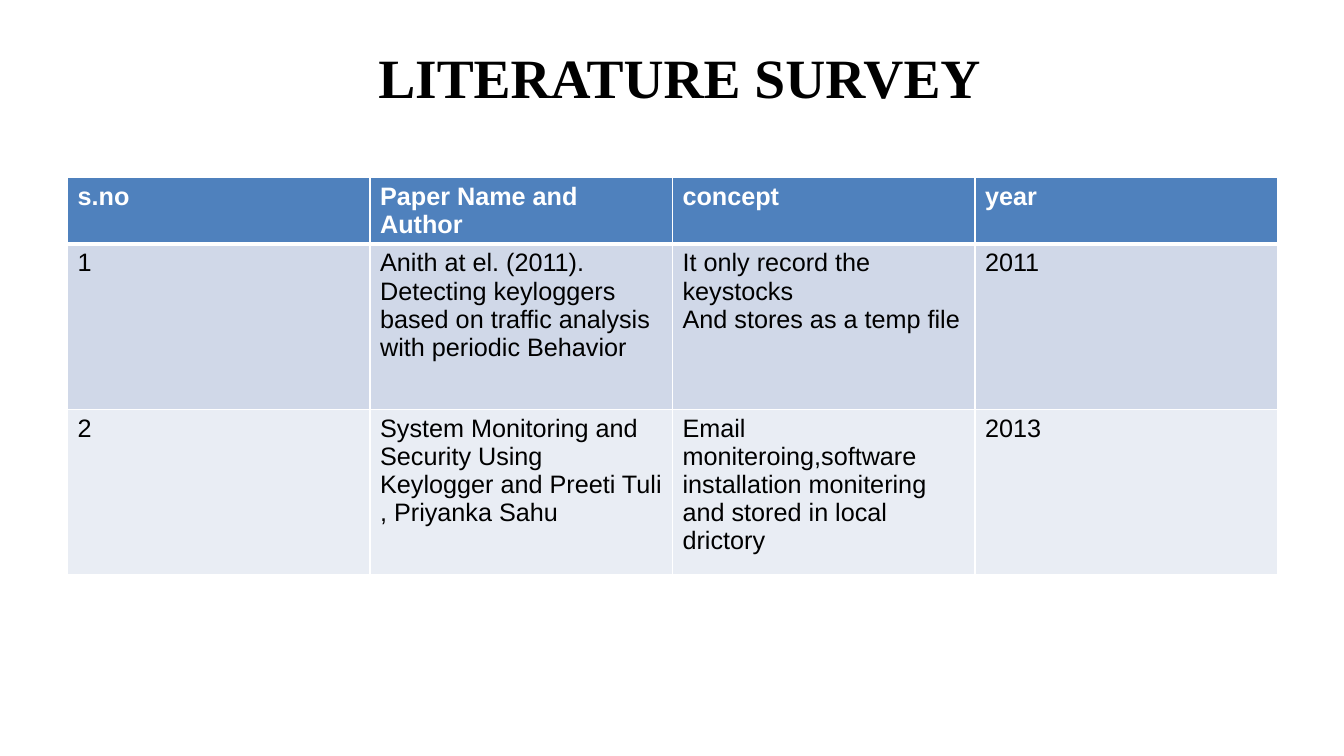
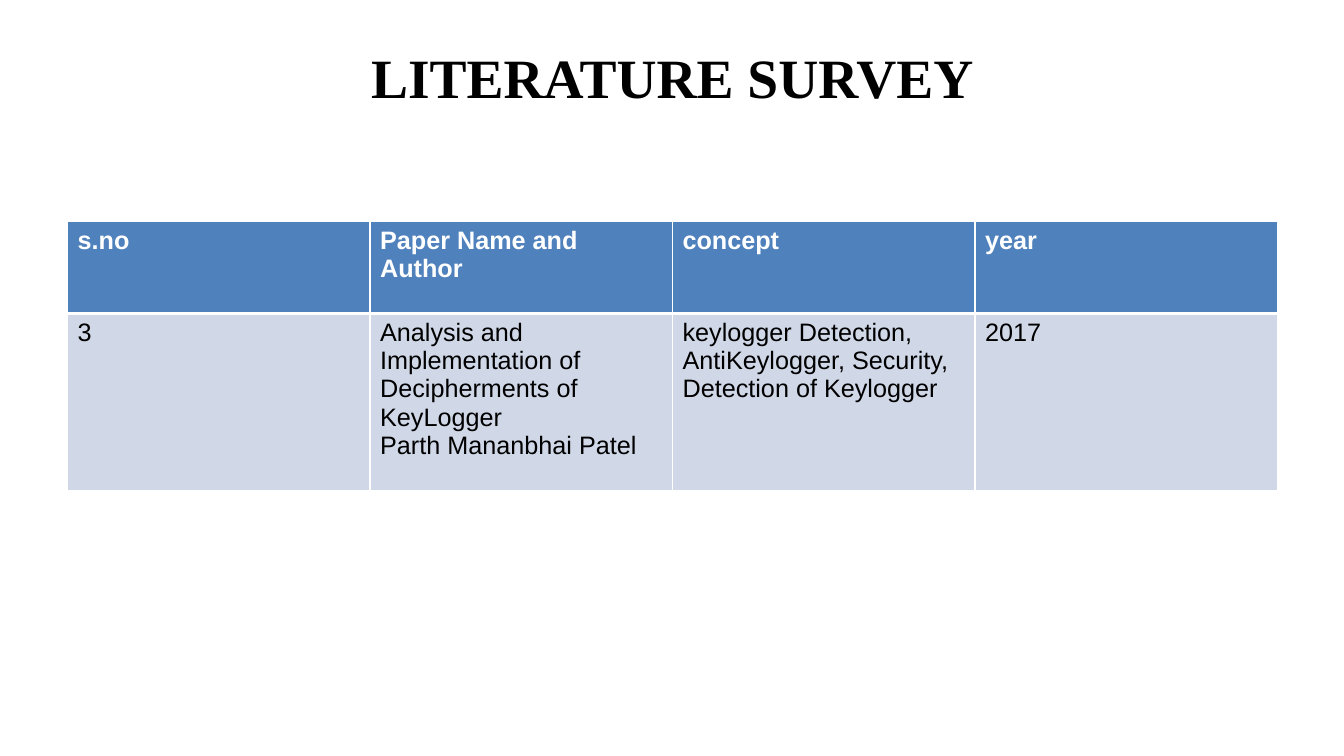
from dataclasses import dataclass

from lxml.etree import SubElement
from pptx import Presentation
from pptx.dml.color import RGBColor as Color
from pptx.enum.text import MSO_ANCHOR as Anchor, MSO_AUTO_SIZE as AutoSize, PP_ALIGN as Align
from pptx.oxml.ns import qn
from pptx.util import Pt

PX = 9144  # EMU per px, 100 px to the inch


@dataclass(frozen=True)
class Theme:
    black: str = "000000"
    white: str = "FFFFFF"
    header: str = "4F81BD"
    bands: tuple = ("D0D8E8", "E9EDF4")
    title_font: str = "Times New Roman"
    body_font: str = "Arial"
    title_size: float = 39.6
    body_size: float = 18
    thin: int = 1
    thick: int = 3


theme = Theme()


def style_text(frame, font, size, color, bold):
    for para in frame.paragraphs:
        for span in para.runs:
            span.font.name = font
            span.font.size = Pt(size)
            span.font.bold = bold
            span.font.color.rgb = Color.from_string(color)


def set_borders(cell, top, bottom):
    """Draw white cell edges; widths in points. Call before filling the cell."""
    properties = cell._tc.get_or_add_tcPr()
    widths = {"lnL": theme.thin, "lnR": theme.thin, "lnT": top, "lnB": bottom}
    for edge, width in widths.items():
        line = SubElement(properties, qn(f"a:{edge}"), w=str(Pt(width)))
        fill = SubElement(line, qn("a:solidFill"))
        SubElement(fill, qn("a:srgbClr"), val=theme.white)


LEFT, WIDTH = 67, 1200
TITLE_TOP, TITLE_HEIGHT, TITLE_INSET = 30, 125, 13
HEADINGS = ["s.no", "Paper Name and Author", "concept", "year"]

surveys = [
    {
        "title_indent": 14,
        "top": 176,
        "heights": [65, 164, 164],
        "papers": [
            ["1",
             "Anith at el. (2011). Detecting keyloggers based on traffic analysis "
             "with periodic Behavior",
             "It only record the keystocks\nAnd stores as a temp file",
             "2011"],
            ["2",
             "System Monitoring and Security Using Keylogger and Preeti Tuli "
             ", Priyanka Sahu",
             "Email moniteroing,software installation monitering and stored in "
             "local drictory",
             "2013"],
        ],
    },
    {
        "title_indent": 0,
        "top": 220,
        "heights": [91, 176],
        "papers": [
            ["3",
             "Analysis and Implementation of Decipherments of KeyLogger\n"
             "Parth Mananbhai Patel",
             "keylogger Detection, AntiKeylogger, Security, Detection of Keylogger",
             "2017"],
        ],
    },
]

deck = Presentation()
deck.slide_width, deck.slide_height = 1333 * PX, 750 * PX
title_only = deck.slide_layouts.get_by_name("Title Only")

for survey in surveys:
    page = deck.slides.add_slide(title_only)

    title = page.shapes.title
    title.left, title.top = LEFT * PX, TITLE_TOP * PX
    title.width, title.height = WIDTH * PX, TITLE_HEIGHT * PX
    frame = title.text_frame
    frame.text = "LITERATURE SURVEY"
    frame.word_wrap = True
    frame.auto_size = AutoSize.NONE
    frame.vertical_anchor = Anchor.TOP
    frame.margin_top = TITLE_INSET * PX
    frame.margin_left = (10 + survey["title_indent"]) * PX
    frame.margin_right = 10 * PX
    frame.paragraphs[0].alignment = Align.CENTER
    style_text(frame, theme.title_font, theme.title_size, theme.black, True)

    rows = [HEADINGS] + survey["papers"]
    heights = survey["heights"]
    table = page.shapes.add_table(
        len(rows), len(HEADINGS),
        LEFT * PX, survey["top"] * PX, WIDTH * PX, sum(heights) * PX,
    ).table

    for row_index, (texts, height) in enumerate(zip(rows, heights)):
        table.rows[row_index].height = height * PX
        is_header = row_index == 0
        background = theme.header if is_header else theme.bands[(row_index - 1) % 2]
        top = theme.thick if row_index == 1 else theme.thin
        bottom = theme.thick if is_header else theme.thin
        for column_index, text in enumerate(texts):
            cell = table.cell(row_index, column_index)
            cell.text_frame.text = text
            style_text(cell.text_frame, theme.body_font, theme.body_size,
                       theme.white if is_header else theme.black, is_header)
            set_borders(cell, top, bottom)
            cell.fill.solid()
            cell.fill.fore_color.rgb = Color.from_string(background)

deck.save("out.pptx")
